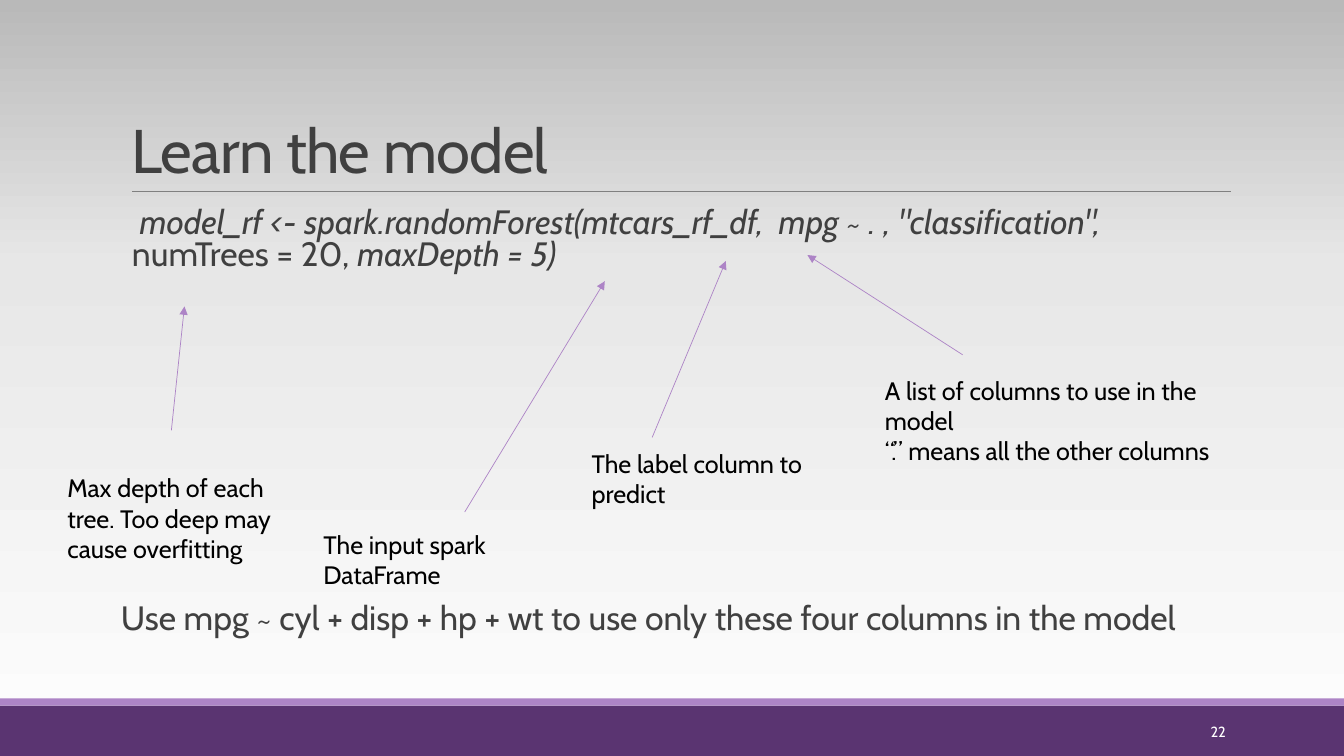
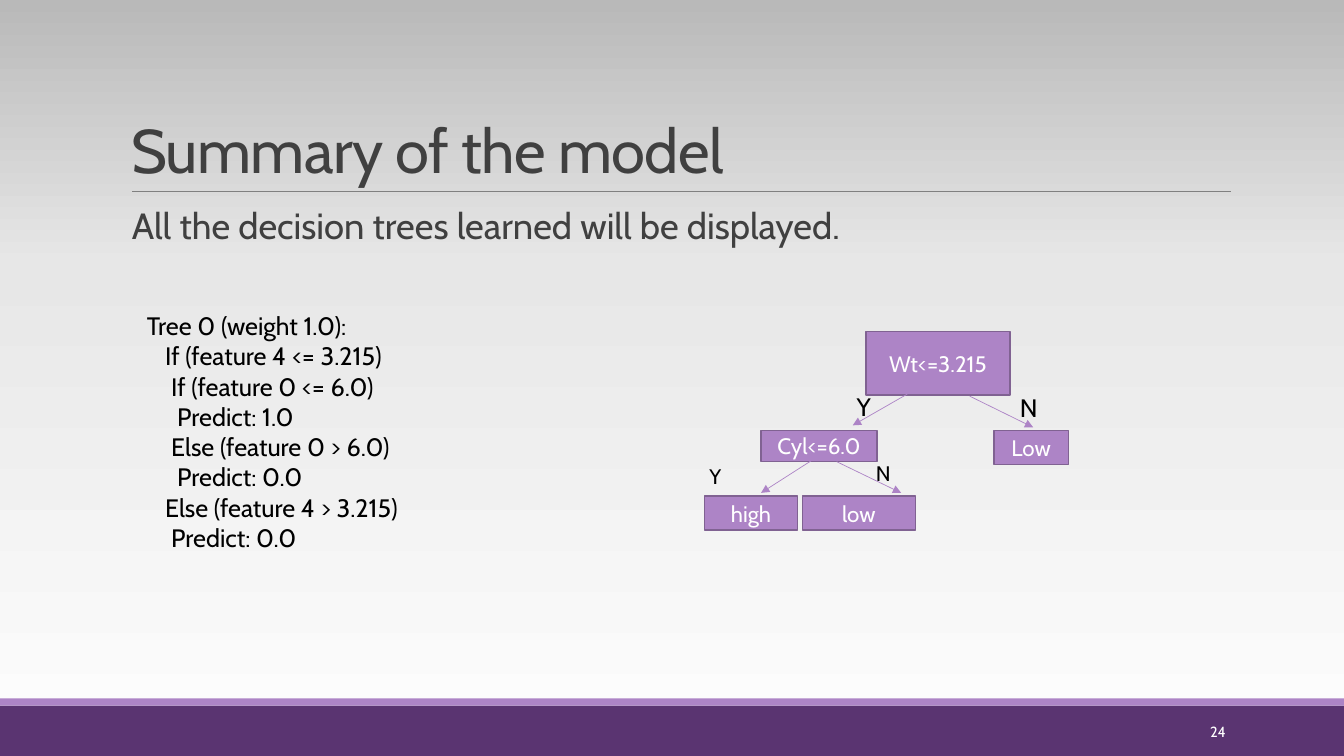
from copy import deepcopy
from dataclasses import dataclass

from lxml import etree
from pptx import Presentation
from pptx import util as u
from pptx.dml.color import RGBColor
from pptx.enum import shapes, text
from pptx.oxml.ns import qn


@dataclass(frozen=True)
class Theme:
    font: str = "Cabin"
    heading: str = "404040"
    ink: str = "000000"
    white: str = "FFFFFF"
    rule: str = "808080"
    purple: str = "5A3471"
    lilac: str = "AD84C6"
    border: str = "806292"
    background: tuple = ((0, "FEFEFE"), (0.65, "E7E7E7"), (1, "B9B9B9"))
    title_size: float = 44
    lead_size: float = 26
    code_size: float = 24.1
    note_size: float = 18
    node_size: float = 16
    small_size: float = 15
    number_size: float = 10.5


COLUMNS, ROWS = 133.33, 75
CELL = u.Inches(0.1)
LEFT, BODY_WIDTH = 13.1, 109


def cells(*lengths):
    return [round(length * CELL) for length in lengths]


def color(value):
    return RGBColor.from_string(value)


class Deck:
    def __init__(self, theme):
        self.theme = theme
        self.slide = None
        self.presentation = Presentation()
        size = cells(COLUMNS, ROWS)
        self.presentation.slide_width, self.presentation.slide_height = size
        self.paint_background()

    def paint_background(self):
        master = self.presentation.slide_master
        fill = master.background.fill
        fill.gradient()
        fill.gradient_angle = 90
        stop_list = master.element.xpath(".//p:bg//a:gsLst")[0]
        stop_list.insert(1, deepcopy(stop_list[0]))
        for stop, (position, shade) in zip(fill.gradient_stops, self.theme.background):
            stop.position = position
            stop.color.rgb = color(shade)

    def add_slide(self, title, number):
        layout = self.presentation.slide_layouts[5]
        self.slide = self.presentation.slides.add_slide(layout)
        self.rectangle((0, 70, COLUMNS, 5), self.theme.purple)
        self.rectangle((0, 69.3, COLUMNS, 0.7), self.theme.lilac)
        self.line((LEFT, 19), (LEFT + BODY_WIDTH, 19), self.theme.rule)
        self.title(title)
        self.text_box((108.3, 70.6, 14.3, 4), [str(number)], self.theme.number_size,
                      self.theme.white, align=text.PP_ALIGN.RIGHT,
                      anchor=text.MSO_ANCHOR.MIDDLE)

    def style(self, paragraph, size, shade, align=text.PP_ALIGN.LEFT):
        paragraph.alignment = align
        for run in paragraph.runs:
            run.font.name = self.theme.font
            run.font.size = u.Pt(size)
            run.font.color.rgb = color(shade)

    def title(self, words):
        shape = self.slide.shapes.title
        shape.left, shape.top, shape.width, shape.height = cells(12, 3.1, 110, 15.9)
        frame = shape.text_frame
        frame.text = words
        frame.auto_size = text.MSO_AUTO_SIZE.NONE
        frame.vertical_anchor = text.MSO_ANCHOR.BOTTOM
        paragraph = frame.paragraphs[0]
        paragraph.line_spacing = 0.85
        self.style(paragraph, self.theme.title_size, self.theme.heading)
        paragraph.runs[0].font._element.set("spc", "-50")

    def text_box(self, box, lines, size, shade, align=text.PP_ALIGN.LEFT,
                 anchor=text.MSO_ANCHOR.TOP):
        frame = self.slide.shapes.add_textbox(*cells(*box)).text_frame
        frame.word_wrap = True
        frame.vertical_anchor = anchor
        frame.text = "\n".join(lines)
        for paragraph in frame.paragraphs:
            self.style(paragraph, size, shade, align)
        return frame

    def note(self, box, *lines):
        return self.text_box(box, lines, self.theme.note_size, self.theme.ink)

    def body(self, box, words, size, spacing):
        frame = self.text_box(box, [words], size, self.theme.heading)
        frame.margin_left = frame.margin_right = 0
        frame.paragraphs[0].line_spacing = spacing
        return frame.paragraphs[0]

    def code(self, box, *parts):
        paragraph = self.body(box, "", self.theme.code_size, 0.8)
        for words, italic in parts:
            run = paragraph.add_run()
            run.text = words
            run.font.italic = italic
        self.style(paragraph, self.theme.code_size, self.theme.heading)

    def outline(self, box, lines):
        frame = self.note(box, *[words for _, words in lines])
        for paragraph, (depth, _) in zip(frame.paragraphs, lines):
            properties = paragraph._p.get_or_add_pPr()
            properties.set("marL", str(cells(0.6 * depth)[0]))

    def rectangle(self, box, fill, border=None):
        shape = self.slide.shapes.add_shape(shapes.MSO_SHAPE.RECTANGLE, *cells(*box))
        shape.shadow.inherit = False
        shape.fill.solid()
        shape.fill.fore_color.rgb = color(fill)
        if border:
            shape.line.color.rgb = color(border)
            shape.line.width = u.Pt(1)
        else:
            shape.line.fill.background()
        return shape

    def node(self, box, words):
        shape = self.rectangle(box, self.theme.lilac, self.theme.border)
        frame = shape.text_frame
        frame.text = words
        frame.vertical_anchor = text.MSO_ANCHOR.MIDDLE
        self.style(frame.paragraphs[0], self.theme.node_size, self.theme.white,
                   text.PP_ALIGN.CENTER)

    def line(self, start, end, shade):
        connector = self.slide.shapes.add_connector(
            shapes.MSO_CONNECTOR.STRAIGHT, *cells(*start, *end))
        connector.line.color.rgb = color(shade)
        connector.line.width = u.Pt(0.5)
        etree.SubElement(connector._element.spPr, qn("a:effectLst"))
        return connector

    def arrow(self, start, end):
        connector = self.line(start, end, self.theme.lilac)
        outline = connector._element.spPr.find(qn("a:ln"))
        etree.SubElement(outline, qn("a:tailEnd"), type="triangle")


def learn_slide(deck):
    deck.add_slide("Learn the model", 22)
    deck.code((LEFT, 20.2, BODY_WIDTH, 8),
              (' model_rf <- spark.randomForest(mtcars_rf_df,  mpg ~ . , "classification", ', True),
              ("numTrees = 20, ", False),
              ("maxDepth = 5)", True))
    deck.body((12, 59.5, 110, 5),
              "Use mpg ~ cyl + disp + hp + wt to use only these four columns in the model",
              deck.theme.code_size, 0.8)
    callouts = [
        ((46.1, 50.8), (60, 27.9), (31.1, 52, 28, 7), ["The input spark DataFrame"]),
        ((64.7, 43.4), (72, 25.9), (57.7, 44, 28, 7), ["The label column to predict"]),
        ((95.5, 35.2), (80.1, 25.3), (86.8, 36.7, 37, 10),
         ["A list of columns to use in the model", "“.” means all the other columns"]),
        ((17, 42.7), (18.3, 30.4), (5.7, 46.4, 23.7, 10.1),
         ["Max depth of each tree. Too deep may cause overfitting"]),
    ]
    for start, end, box, lines in callouts:
        deck.arrow(start, end)
        deck.note(box, *lines)


def summary_slide(deck):
    deck.add_slide("Summary of the model", 24)
    deck.body((LEFT, 20.2, BODY_WIDTH, 6),
              "All the decision trees learned will be displayed.",
              deck.theme.lead_size, 0.9)
    deck.outline((13.6, 30.3, 66, 25.2), [
        (0, "Tree 0 (weight 1.0):"),
        (3, "If (feature 4 <= 3.215)"),
        (4, "If (feature 0 <= 6.0)"),
        (5, "Predict: 1.0"),
        (4, "Else (feature 0 > 6.0)"),
        (5, "Predict: 0.0"),
        (3, "Else (feature 4 > 3.215)"),
        (4, "Predict: 0.0"),
    ])
    for box, words in [
        ((85.9, 32.9, 14.3, 6.3), "Wt<=3.215"),
        ((75.5, 42.7, 11.5, 3.1), "Cyl<=6.0"),
        ((98.6, 42.7, 7.4, 3.4), "Low"),
        ((69.9, 49.2, 9.2, 3.4), "high"),
        ((79.6, 49.2, 11.2, 3.4), "low"),
    ]:
        deck.node(box, words)
    large, small = deck.theme.note_size, deck.theme.small_size
    for start, end, corner, answer, size in [
        ((90, 39.1), (84.6, 42.2), (84, 38.3), "Y", large),
        ((96.2, 39.3), (102.5, 42.4), (100.2, 38.4), "N", large),
        ((80.8, 45.5), (75.5, 48.9), (69.4, 45.5), "Y", small),
        ((83, 45.8), (89.4, 48.9), (85.9, 45.2), "N", small),
    ]:
        deck.arrow(start, end)
        deck.text_box((*corner, 4, 4), [answer], size, deck.theme.ink)


def main():
    deck = Deck(Theme())
    learn_slide(deck)
    summary_slide(deck)
    deck.presentation.save("out.pptx")


if __name__ == "__main__":
    main()
